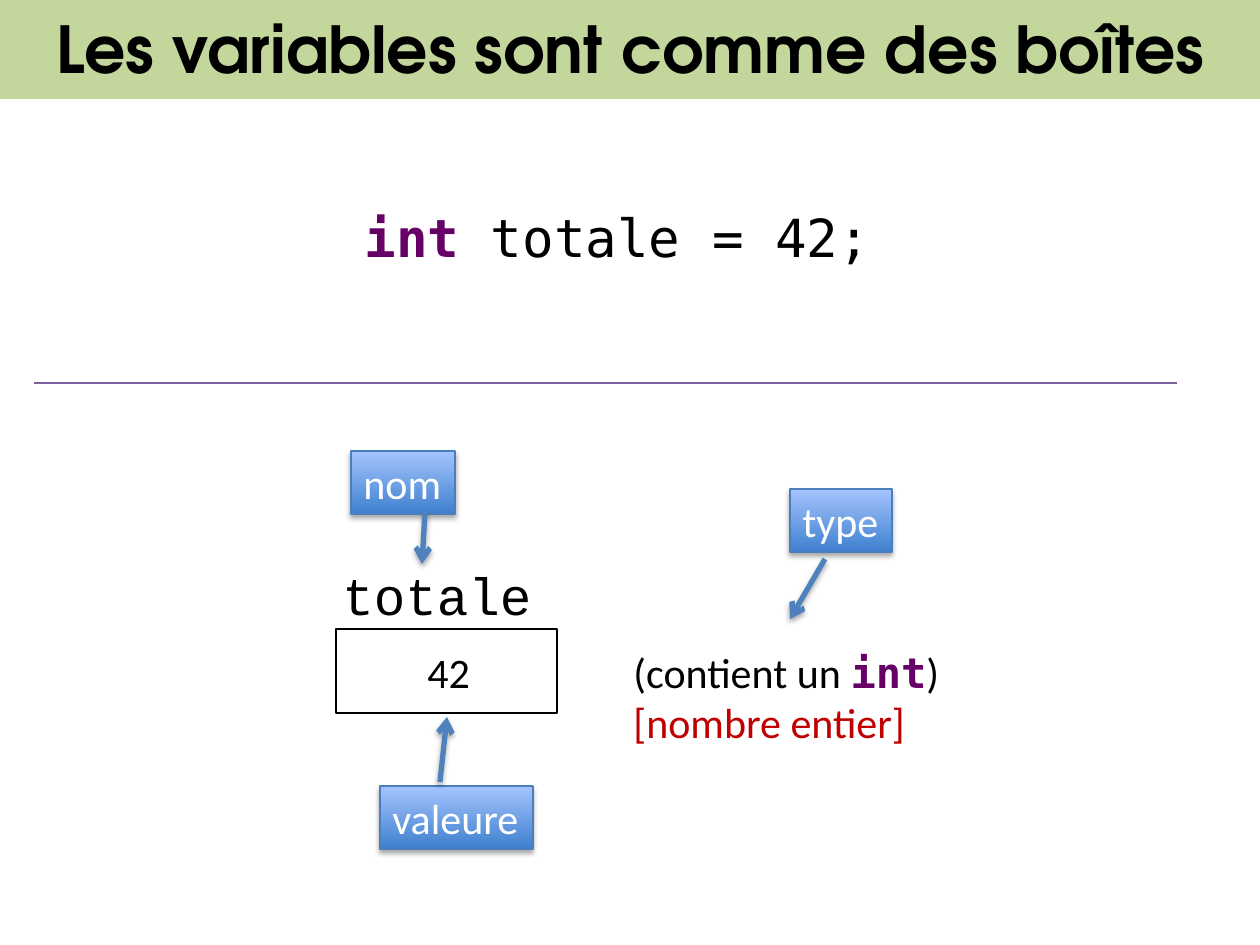
from dataclasses import dataclass

from lxml.etree import SubElement
from pptx import Presentation
from pptx.dml.color import RGBColor
from pptx.enum.shapes import MSO_CONNECTOR as Conn, MSO_SHAPE as Shape
from pptx.enum.text import MSO_ANCHOR as Anchor, MSO_AUTO_SIZE as AutoSize, PP_ALIGN as Align
from pptx.oxml.ns import qn
from pptx.util import Pt


@dataclass(frozen=True)
class Theme:
    black: str = "000000"
    white: str = "FFFFFF"
    band: str = "C3D69B"
    keyword: str = "660066"
    note: str = "C00000"
    divider: str = "7D60A0"
    arrow: str = "4F81BD"
    tag_line: str = "4B7EBC"
    tag_stops: tuple = ("3F80CE", "A4C4FF")
    title_font: str = "TeX Gyre Adventor"
    body_font: str = "Calibri"
    code_font: str = "DejaVu Sans Mono"
    name_font: str = "Courier New"
    title_size: int = 37
    code_size: int = 30
    body_size: int = 24


T = Theme()
EMU_PER_PX = 914400 / 126


def px(*lengths):
    return [round(n * EMU_PER_PX) for n in lengths]


def rgb(color):
    return RGBColor.from_string(color)


def run(text, color=T.black, font=T.body_font, size=T.body_size, bold=False):
    """Describe one run of text."""
    return text, color, font, size, bold


def write(tf, paragraphs, align=Align.LEFT, wrap=False, grow=True):
    tf.word_wrap = wrap
    tf.auto_size = AutoSize.SHAPE_TO_FIT_TEXT if grow else AutoSize.NONE
    for i, runs in enumerate(paragraphs):
        p = tf.add_paragraph() if i else tf.paragraphs[0]
        p.alignment = align
        for text, color, font, size, bold in runs:
            r = p.add_run()
            r.text = text
            r.font.name, r.font.size, r.font.bold = font, Pt(size), bold
            r.font.color.rgb = rgb(color)


def add_text(slide, box, paragraphs, **layout):
    write(slide.shapes.add_textbox(*px(*box)).text_frame, paragraphs, **layout)


def add_rect(slide, box, fill=None, line=None):
    sp = slide.shapes.add_shape(Shape.RECTANGLE, *px(*box))
    sp.shadow.inherit = False
    if fill:
        sp.fill.solid()
        sp.fill.fore_color.rgb = rgb(fill)
    if line:
        sp.line.color.rgb = rgb(line)
        sp.line.width = Pt(0.75)
    else:
        sp.line.fill.background()
    return sp


def add_shadow(effects):
    shadow = SubElement(effects, qn("a:outerShdw"), blurRad=str(Pt(3.1)), dist=str(Pt(1.8)),
                        dir="5400000", rotWithShape="0")
    color = SubElement(shadow, qn("a:srgbClr"), val=T.black)
    SubElement(color, qn("a:alpha"), val="35000")


def add_tag(slide, box, label):
    """Add a blue gradient label with a soft shadow."""
    sp = add_rect(slide, box, line=T.tag_line)
    sp.fill.gradient()
    sp.fill.gradient_angle = 90
    for stop, position, color in zip(sp.fill.gradient_stops, (0, 1), T.tag_stops):
        stop.position = position
        stop.color.rgb = rgb(color)
    add_shadow(sp.element.spPr.find(qn("a:effectLst")))
    sp.text_frame.vertical_anchor = Anchor.TOP
    write(sp.text_frame, [[run(label, T.white)]])


def add_line(slide, ends, color, width, arrow=False):
    line = slide.shapes.add_connector(Conn.STRAIGHT, *px(*ends))
    line.line.color.rgb = rgb(color)
    line.line.width = Pt(width)
    effects = SubElement(line.element.spPr, qn("a:effectLst"))
    if arrow:
        SubElement(line.line._get_or_add_ln(), qn("a:tailEnd"), type="arrow")
        add_shadow(effects)


def main():
    prs = Presentation()
    prs.slide_width, prs.slide_height = px(1260, 945)
    slide = prs.slides.add_slide(prs.slide_layouts[6])

    # The variable: its box, name, content and type
    add_rect(slide, (336, 629, 221, 84), T.white, T.black)
    add_text(slide, (330, 557, 217, 77), [[run("totale", font=T.name_font, size=T.code_size)]])
    add_text(slide, (621, 640, 334, 115), [
        [run("(contient un "), run("int", T.keyword, T.code_font, bold=True), run(")")],
        [run("[nombre entier]", T.note)],
    ])
    add_text(slide, (352, 640, 193, 63), [[run("42")]], align=Align.CENTER, wrap=True)

    # Title band
    band = add_rect(slide, (0, -4, 1260, 103), T.band)
    band.text_frame.vertical_anchor = Anchor.MIDDLE
    title = run("Les variables sont comme des boîtes", T.black, T.title_font, T.title_size, True)
    write(band.text_frame, [[title]], align=Align.CENTER, wrap=True, grow=False)

    # Declaration and divider
    add_text(slide, (352, 199, 534, 77), [[
        run("int ", T.keyword, T.code_font, T.code_size, True),
        run("totale = 42;", T.black, T.code_font, T.code_size),
    ]])
    add_line(slide, (34, 383, 1177, 383), T.divider, 0.75)

    # Tags, then their arrows
    for label, x, y, width in (("nom", 351, 451, 104), ("valeure", 380, 786, 153),
                               ("type", 790, 489, 102)):
        add_tag(slide, (x, y, width, 63), label)
    for ends in ((425, 512, 422, 564), (825, 559, 790, 619), (440, 782, 447, 717)):
        add_line(slide, ends, T.arrow, 3, arrow=True)

    prs.save("out.pptx")


if __name__ == "__main__":
    main()
